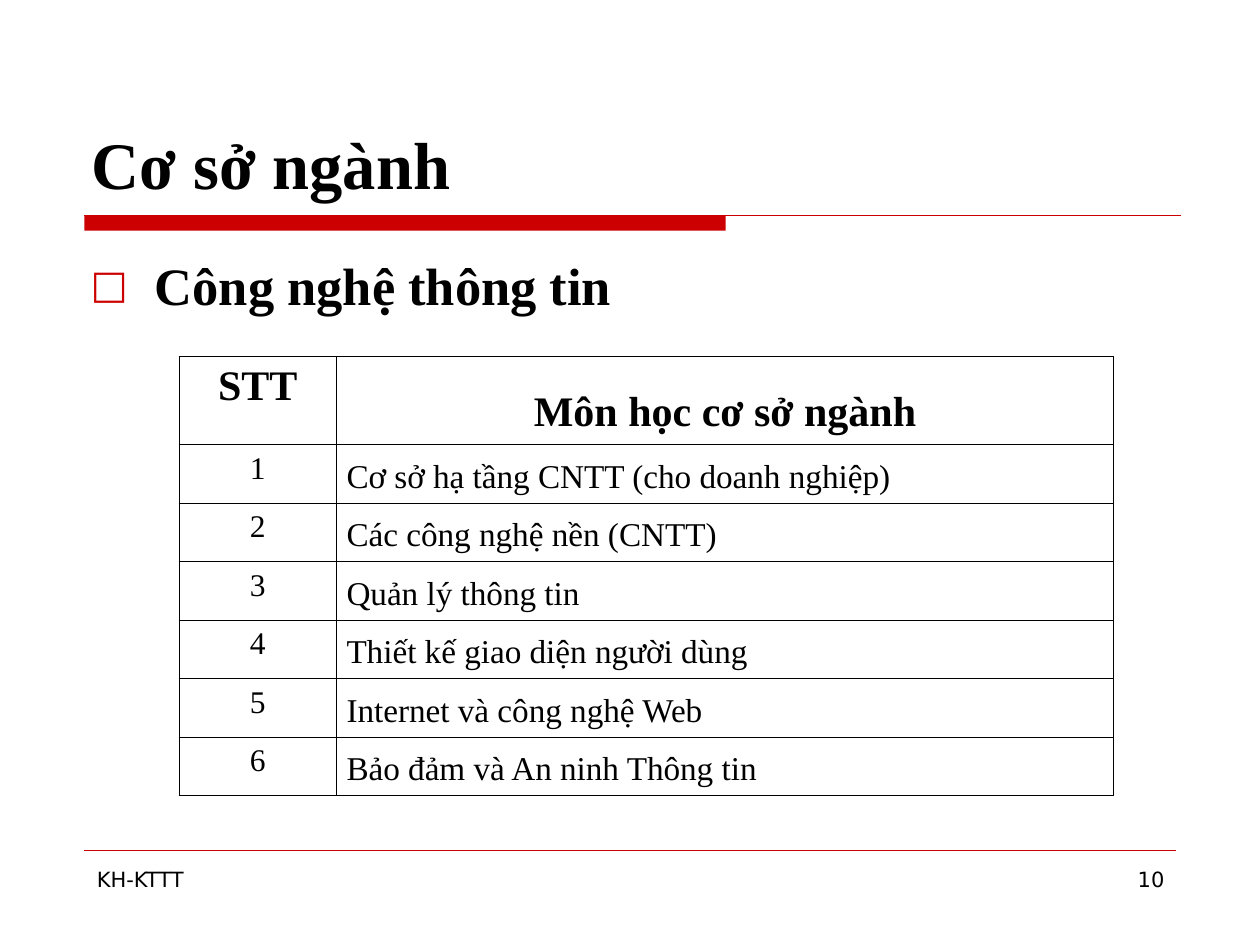
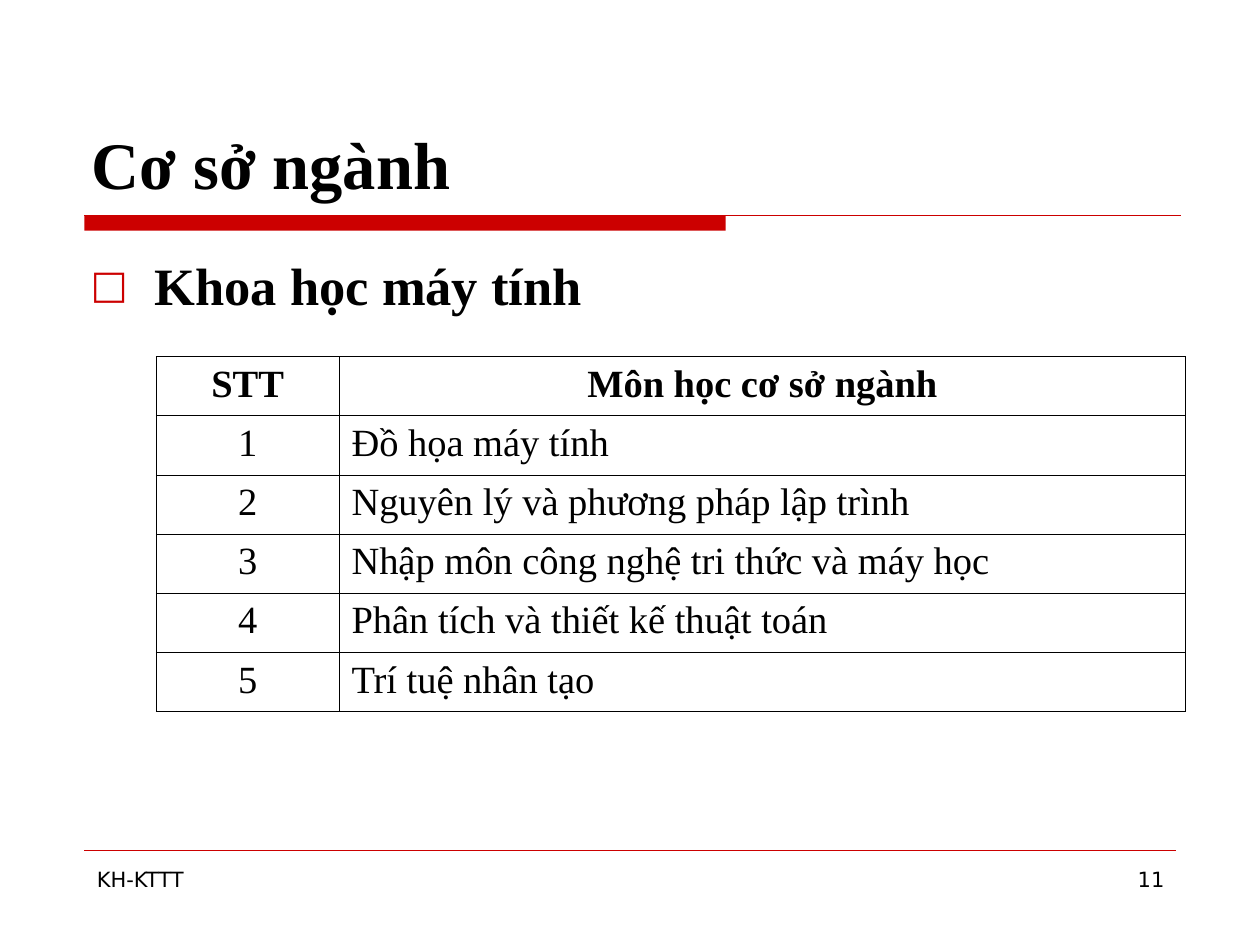
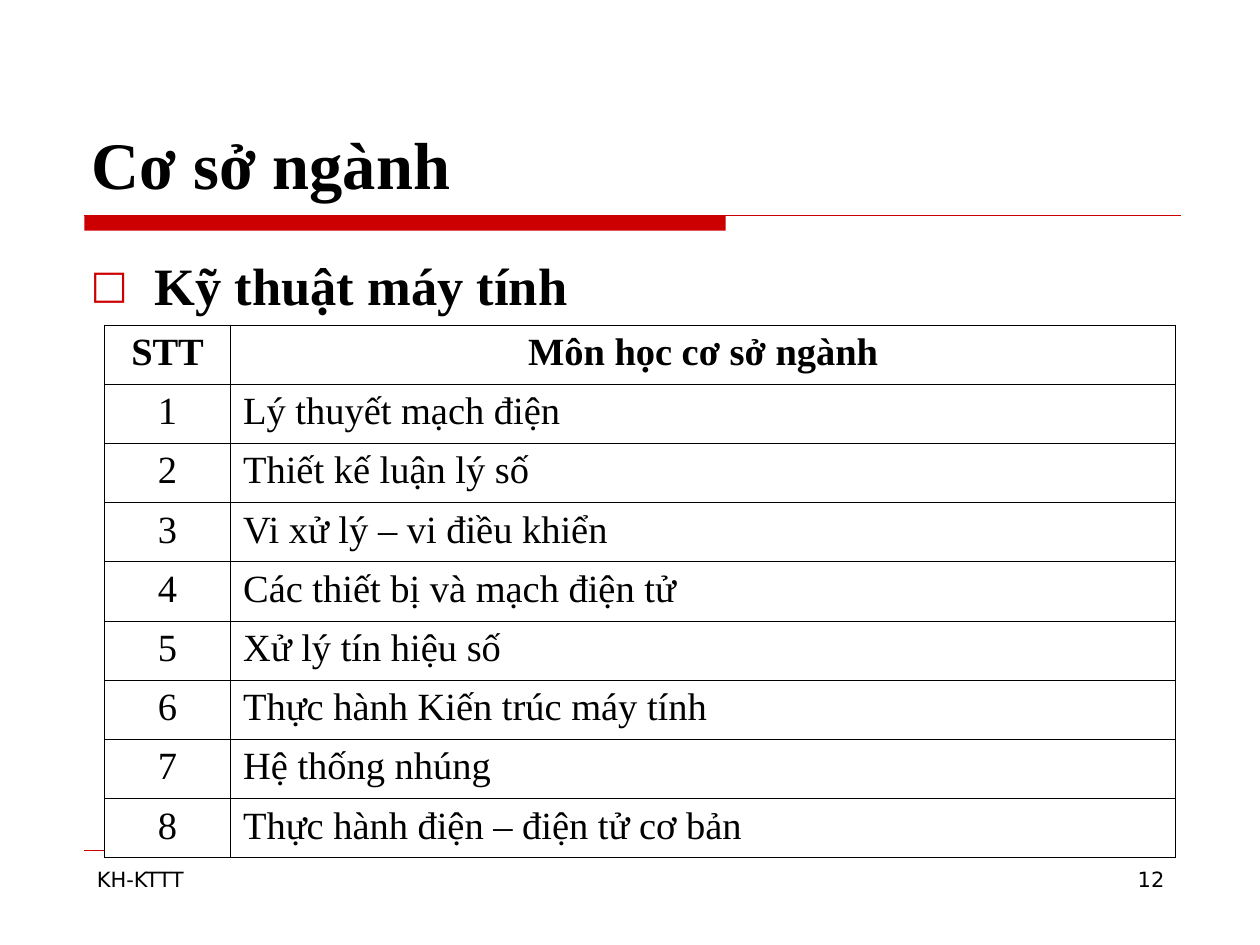
from lxml import etree
from pptx import Presentation
from pptx.dml.color import RGBColor
from pptx.enum.shapes import MSO_CONNECTOR, MSO_SHAPE
from pptx.enum.text import MSO_ANCHOR, MSO_AUTO_SIZE, PP_ALIGN
from pptx.oxml.ns import qn
from pptx.util import Inches, Pt

LEFT, CENTER, RIGHT = PP_ALIGN.LEFT, PP_ALIGN.CENTER, PP_ALIGN.RIGHT
TOP, MIDDLE, BOTTOM = MSO_ANCHOR.TOP, MSO_ANCHOR.MIDDLE, MSO_ANCHOR.BOTTOM
RED = RGBColor(0xCC, 0x00, 0x00)
BLACK = RGBColor(0x00, 0x00, 0x00)
WHITE = RGBColor(0xFF, 0xFF, 0xFF)
SERIF, SANS = "Times New Roman", "DejaVu Sans"

TITLE = "Cơ sở ngành"
FOOTER = "KH-KTTT"
FIRST_NUMBER = 10
HEADINGS = ("STT", "Môn học cơ sở ngành")

TITLE_FONT = {"name": SERIF, "size": Pt(38), "bold": True}
SUBJECT_FONT = {"name": SERIF, "size": Pt(30), "bold": True}
FOOTER_FONT = {"name": SANS, "size": Pt(12), "bold": False}

# Sizes are (number column, course column); spacing is (heading, body).
PLAIN = {"heading_sizes": (22, 22), "body_sizes": (22, 22),
         "course_spacing": (1, 1), "course_anchor": TOP, "course_inset": 0.1}
SPACED = {"heading_sizes": (24, 24), "body_sizes": (18, 19),
          "course_spacing": (1.5, 1.15), "course_anchor": MIDDLE, "course_inset": 0.08}

SUBJECTS = [
    {"name": "Công nghệ thông tin",
     "courses": ["Cơ sở hạ tầng CNTT (cho doanh nghiệp)", "Các công nghệ nền (CNTT)",
                 "Quản lý thông tin", "Thiết kế giao diện người dùng",
                 "Internet và công nghệ Web", "Bảo đảm và An ninh Thông tin"],
     "place": (1.42, 2.83), "columns": (1.25, 6.17), "rows": (0.6, 0.4), "style": SPACED},
    {"name": "Khoa học máy tính",
     "courses": ["Đồ họa máy tính", "Nguyên lý và phương pháp lập trình",
                 "Nhập môn công nghệ tri thức và máy học",
                 "Phân tích và thiết kế thuật toán", "Trí tuệ nhân tạo"],
     "place": (1.24, 2.83), "columns": (1.45, 6.72), "rows": (0.47, 0.47), "style": PLAIN},
    {"name": "Kỹ thuật máy tính",
     "courses": ["Lý thuyết mạch điện", "Thiết kế luận lý số", "Vi xử lý – vi điều khiển",
                 "Các thiết bị và mạch điện tử", "Xử lý tín hiệu số",
                 "Thực hành Kiến trúc máy tính", "Hệ thống nhúng",
                 "Thực hành điện – điện tử cơ bản"],
     "place": (0.83, 2.58), "columns": (1, 7.5), "rows": (0.47, 0.47), "style": PLAIN},
]


def inches(*lengths):
    return [Inches(length) for length in lengths]


def write(text_frame, text, font, alignment=LEFT):
    text_frame.text = text
    paragraph = text_frame.paragraphs[0]
    paragraph.alignment = alignment
    for name, value in font.items():
        setattr(paragraph.font, name, value)
    paragraph.font.color.rgb = BLACK
    return paragraph


def add_text(slide, place, text, font, alignment=LEFT):
    text_frame = slide.shapes.add_textbox(*inches(*place)).text_frame
    text_frame.word_wrap = True
    write(text_frame, text, font, alignment)
    return text_frame


def add_rule(slide, left, right, top, width):
    rule = slide.shapes.add_connector(MSO_CONNECTOR.STRAIGHT, *inches(left, top, right, top))
    rule.line.color.rgb = RED
    rule.line.width = Pt(width)
    etree.SubElement(rule._element.spPr, qn("a:effectLst"))


def add_frame(slide, number):
    """Draw the title, its red band and the footer."""
    bar = slide.shapes.add_shape(MSO_SHAPE.RECTANGLE, *inches(0.67, 1.71, 5.09, 0.12))
    bar.shadow.inherit = False
    bar.fill.solid()
    bar.fill.fore_color.rgb = RED
    bar.line.fill.background()
    add_rule(slide, 0.67, 9.37, 1.71, 0.75)
    add_rule(slide, 0.67, 9.33, 6.75, 0.25)

    title = slide.shapes.title
    title.left, title.top, title.width, title.height = inches(0.63, 0.33, 8.75, 1.33)
    title.text_frame.auto_size = MSO_AUTO_SIZE.NONE
    title.text_frame.vertical_anchor = BOTTOM
    write(title.text_frame, TITLE, TITLE_FONT)

    add_text(slide, (0.67, 6.83, 2.17, 0.52), FOOTER, FOOTER_FONT)
    add_text(slide, (7.17, 6.83, 2.17, 0.52), str(number), FOOTER_FONT, RIGHT)


def add_subject_name(slide, name):
    text_frame = add_text(slide, (0.62, 1.92, 8.75, 4.67), name, SUBJECT_FONT)
    text_frame.margin_top = Inches(0.09)
    properties = text_frame.paragraphs[0]._p.get_or_add_pPr()
    indent = Inches(0.51)
    properties.set("marL", str(indent))
    properties.set("indent", str(-indent))
    color = etree.Element(qn("a:buClr"))
    etree.SubElement(color, qn("a:srgbClr"), val=str(RED))
    bullet = [color,
              etree.Element(qn("a:buSzPct"), val="75000"),
              etree.Element(qn("a:buFont"), typeface=SANS),
              etree.Element(qn("a:buChar"), char="□")]
    for position, element in enumerate(bullet):
        properties.insert(position, element)


def add_borders(cell):
    properties = cell._tc.get_or_add_tcPr()
    for side in ("lnL", "lnR", "lnT", "lnB"):
        line = etree.SubElement(properties, qn(f"a:{side}"), w=str(Pt(0.45)))
        fill = etree.SubElement(line, qn("a:solidFill"))
        etree.SubElement(fill, qn("a:srgbClr"), val=str(BLACK))


def format_cell(cell, text, style, is_heading, column):
    add_borders(cell)
    cell.fill.solid()
    cell.fill.fore_color.rgb = WHITE
    is_course = column == 1
    sizes = style["heading_sizes" if is_heading else "body_sizes"]
    font = {"name": SERIF, "size": Pt(sizes[column]), "bold": is_heading}
    alignment = LEFT if is_course and not is_heading else CENTER
    paragraph = write(cell.text_frame, text, font, alignment)
    if is_course:
        paragraph.line_spacing = float(style["course_spacing"][0 if is_heading else 1])
        cell.vertical_anchor = style["course_anchor"]
    cell.margin_left = cell.margin_right = Inches(style["course_inset"] if is_course else 0.1)


def add_course_table(slide, subject):
    rows = [HEADINGS] + [(str(number), course)
                         for number, course in enumerate(subject["courses"], 1)]
    heading_height, body_height = subject["rows"]
    width = sum(subject["columns"])
    height = heading_height + body_height * len(subject["courses"])
    table = slide.shapes.add_table(len(rows), len(HEADINGS),
                                   *inches(*subject["place"], width, height)).table
    table.first_row = table.horz_banding = False
    for column, column_width in zip(table.columns, subject["columns"]):
        column.width = Inches(column_width)
    for row, texts in enumerate(rows):
        table.rows[row].height = Inches(body_height if row else heading_height)
        for column, text in enumerate(texts):
            format_cell(table.cell(row, column), text, subject["style"], row == 0, column)


def main():
    presentation = Presentation()
    presentation.slide_width, presentation.slide_height = inches(10, 7.5)
    title_only = presentation.slide_layouts.get_by_name("Title Only")
    for number, subject in enumerate(SUBJECTS, FIRST_NUMBER):
        slide = presentation.slides.add_slide(title_only)
        add_frame(slide, number)
        add_subject_name(slide, subject["name"])
        add_course_table(slide, subject)
    presentation.save("out.pptx")


if __name__ == "__main__":
    main()
